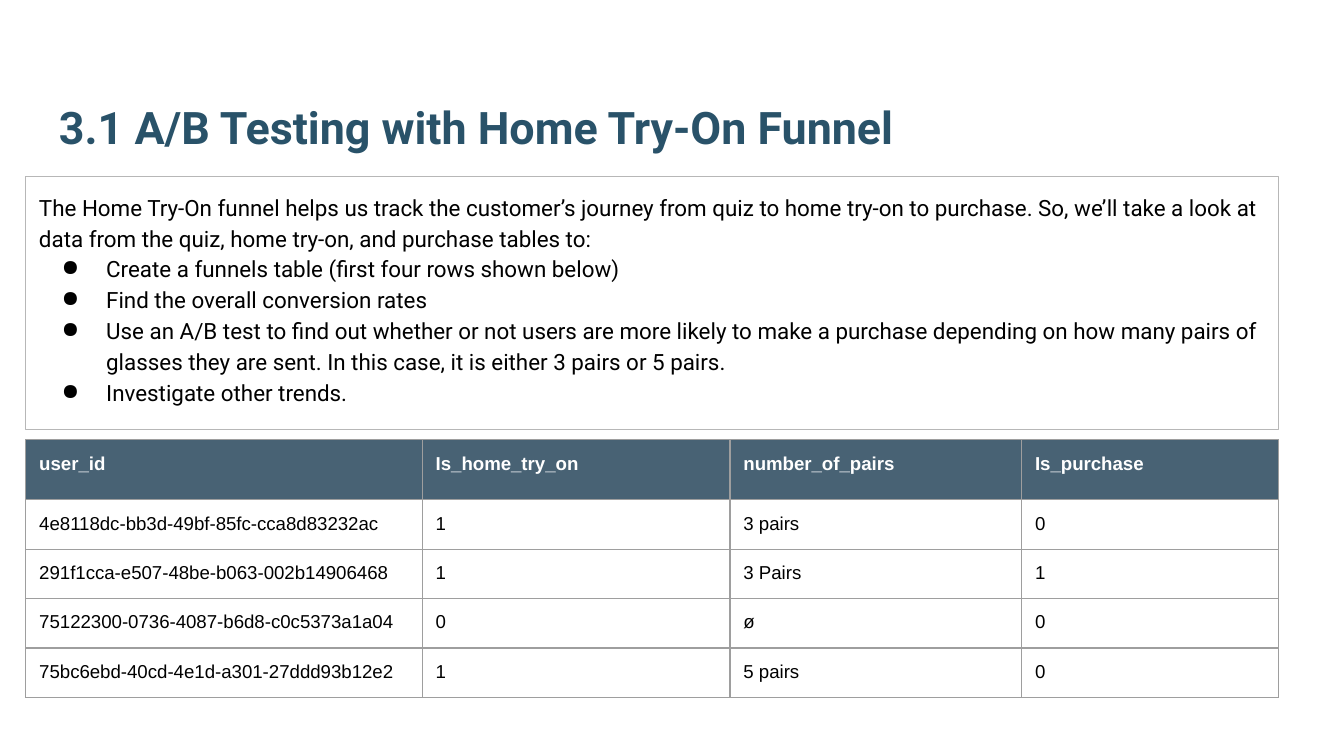
from lxml.etree import SubElement
from pptx import Presentation
from pptx.dml.color import RGBColor
from pptx.enum.shapes import MSO_SHAPE
from pptx.enum.text import MSO_ANCHOR, PP_ALIGN
from pptx.oxml import parse_xml
from pptx.oxml.ns import nsdecls, qn
from pptx.util import Pt

TITLE = "3.1 A/B Testing with Home Try-On Funnel"
INTRO = (
    "The Home Try-On funnel helps us track the customer’s journey from quiz to home "
    "try-on to purchase. So, we’ll take a look at data from the quiz, home try-on, "
    "and purchase tables to:"
)
GOALS = [
    "Create a funnels table (first four rows shown below)",
    "Find the overall conversion rates",
    "Use an A/B test to find out whether or not users are more likely to make a purchase "
    "depending on how many pairs of glasses they are sent. In this case, it is either "
    "3 pairs or 5 pairs.",
    "Investigate other trends.",
]
FUNNEL_ROWS = [
    ("user_id", "Is_home_try_on", "number_of_pairs", "Is_purchase"),
    ("4e8118dc-bb3d-49bf-85fc-cca8d83232ac", "1", "3 pairs", "0"),
    ("291f1cca-e507-48be-b063-002b14906468", "1", "3 Pairs", "1"),
    ("75122300-0736-4087-b6d8-c0c5373a1a04", "0", "ø", "0"),
    ("75bc6ebd-40cd-4e1d-a301-27ddd93b12e2", "1", "5 pairs", "0"),
]

TITLE_BLUE = RGBColor(0x29, 0x52, 0x69)
HEADER_BLUE = RGBColor(0x20, 0x40, 0x56)
BOX_GRAY = RGBColor(0xB7, 0xB7, 0xB7)
GRID_GRAY = RGBColor(0x9E, 0x9E, 0x9E)
BLACK = RGBColor(0, 0, 0)
WHITE = RGBColor(255, 255, 255)

LEFT, WIDTH = 13.8, 671
COLUMN_WIDTHS = [212.4, 164.9, 156.2, 137.5]
HEADER_HEIGHT, ROW_HEIGHT = 32.2, 25.8
INSET = Pt(7.2)
LINE_WIDTH = Pt(0.75)


def set_font(paragraph, name, size, color, bold=False):
    font = paragraph.font
    font.name, font.size, font.bold = name, Pt(size), bold
    font.color.rgb = color


def set_insets(holder):
    holder.margin_left = holder.margin_right = INSET
    holder.margin_top = holder.margin_bottom = INSET


def add_bullet(paragraph):
    properties = paragraph._p.get_or_add_pPr()
    properties.set("marL", str(Pt(36)))
    properties.set("indent", str(-Pt(23.8)))
    color = SubElement(properties, qn("a:buClr"))
    SubElement(color, qn("a:srgbClr"), val=str(BLACK))
    SubElement(properties, qn("a:buChar"), char="●")


def add_borders(cell):
    properties = cell._tc.get_or_add_tcPr()
    for position, side in enumerate(("lnL", "lnR", "lnT", "lnB")):
        properties.insert(position, parse_xml(
            f'<a:{side} {nsdecls("a")} w="{LINE_WIDTH}"><a:solidFill>'
            f'<a:srgbClr val="{GRID_GRAY}"/></a:solidFill></a:{side}>'
        ))


def fill_header(cell):
    cell.fill.solid()
    cell.fill.fore_color.rgb = HEADER_BLUE
    color = cell._tc.tcPr.find(".//" + qn("a:srgbClr"))
    SubElement(color, qn("a:alpha"), val="82000")


def add_title(slide):
    frame = slide.shapes.add_textbox(Pt(24.5), Pt(23), Pt(WIDTH), Pt(66.2)).text_frame
    frame.word_wrap = True
    frame.vertical_anchor = MSO_ANCHOR.BOTTOM
    set_insets(frame)
    frame.text = TITLE
    set_font(frame.paragraphs[0], "Roboto", 24, TITLE_BLUE, True)


def add_summary(slide):
    summary = slide.shapes.add_shape(
        MSO_SHAPE.RECTANGLE, Pt(LEFT), Pt(94.5), Pt(WIDTH), Pt(135.5)
    )
    summary.shadow.inherit = False
    summary.fill.background()
    summary.line.color.rgb = BOX_GRAY
    summary.line.width = LINE_WIDTH
    frame = summary.text_frame
    frame.word_wrap = True
    frame.vertical_anchor = MSO_ANCHOR.TOP
    set_insets(frame)
    frame.text = "\n".join([INTRO, *GOALS])
    for number, paragraph in enumerate(frame.paragraphs):
        paragraph.alignment = PP_ALIGN.LEFT
        paragraph.line_spacing = 1.15
        if number:
            add_bullet(paragraph)
        set_font(paragraph, "Roboto", 12, BLACK)


def add_funnel_table(slide):
    row_heights = [HEADER_HEIGHT] + [ROW_HEIGHT] * (len(FUNNEL_ROWS) - 1)
    table = slide.shapes.add_table(
        len(FUNNEL_ROWS), len(COLUMN_WIDTHS),
        Pt(LEFT), Pt(235.6), Pt(WIDTH), Pt(sum(row_heights)),
    ).table
    for column, width in zip(table.columns, COLUMN_WIDTHS):
        column.width = Pt(width)
    for row_number, (row, height) in enumerate(zip(table.rows, row_heights)):
        row.height = Pt(height)
        is_header = row_number == 0
        for cell, value in zip(row.cells, FUNNEL_ROWS[row_number]):
            cell.text = value
            set_insets(cell)
            set_font(cell.text_frame.paragraphs[0], "Arial", 10,
                     WHITE if is_header else BLACK, is_header)
            if is_header:
                fill_header(cell)
            else:
                cell.fill.background()
            add_borders(cell)


def main():
    presentation = Presentation()
    presentation.slide_width, presentation.slide_height = Pt(720), Pt(405)
    slide = presentation.slides.add_slide(presentation.slide_layouts[6])
    add_title(slide)
    add_summary(slide)
    add_funnel_table(slide)
    presentation.save("out.pptx")


if __name__ == "__main__":
    main()
